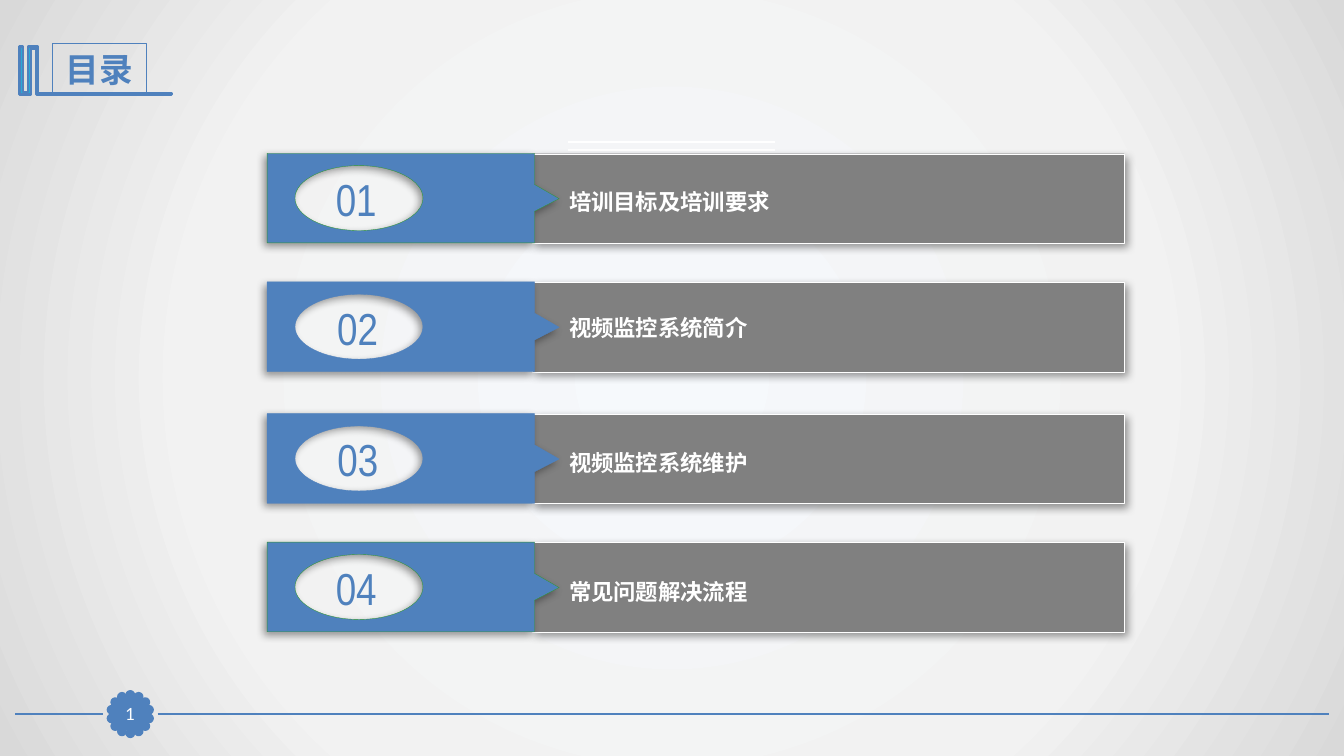
from math import cos, pi, sin

from pptx import Presentation
from pptx.dml.color import RGBColor
from pptx.enum.shapes import MSO_CONNECTOR, MSO_SHAPE
from pptx.enum.text import MSO_ANCHOR, PP_ALIGN
from pptx.oxml import parse_xml
from pptx.oxml.ns import nsdecls, qn
from pptx.util import Pt

COLORS = {
    "blue": "4F81BD",
    "green": "339933",
    "cyan": "28A9D6",
    "gray": "808080",
    "white": "FFFFFF",
    "shadow": "000000",
}
BACKDROP = ((0, "F6F9FC"), (63, "F2F2F2"), (100, "D9D9D9"))

# top, number, number centre, heading, heading offset, tab outline
AGENDA = (
    (109.5, "01", 254.5, "培训目标及培训要求", 21.5, "green"),
    (201.4, "02", 255.4, "视频监控系统简介", 19.6, "blue"),
    (295.5, "03", 255.6, "视频监控系统维护", 22, "blue"),
    (387.3, "04", 254.5, "常见问题解决流程", 22.4, "green"),
)
BAR_HEIGHT = 64
TAB_LEFT, TAB_RIGHT, TAB_TIP = 190.8, 381.8, 399.4
HOLE_X, HOLE_Y, HOLE_RX, HOLE_RY = 65.6, 32, 45.7, 23.2
ARC = 0.55
BRACKET = (
    (26.4, 33), (27.2, 33), (27.2, 66.4), (122.8, 66.4), (122.8, 67.5),
    (25.9, 67.5), (25.9, 34.4), (22.2, 34.4), (22.2, 67.5), (13.7, 67.5),
    (13.7, 33), (16.5, 33), (16.5, 65.7), (20, 65.7), (20, 33),
)
BADGE_X, BADGE_Y, BADGE_RADIUS = 93.1, 510.1, 13.7
PETALS, PETAL_SIZE = 14, 5


def rgb(name):
    return RGBColor.from_string(COLORS[name])


def paint(shape, fill, line, width):
    shape.shadow.inherit = False
    if fill:
        shape.fill.solid()
        shape.fill.fore_color.rgb = rgb(fill)
    shape.line.color.rgb = rgb(line)
    shape.line.width = Pt(width)


def cast_shadow(shape, angle):
    shape._element.spPr.find(qn("a:effectLst")).append(parse_xml(
        f'<a:outerShdw {nsdecls("a")} blurRad="{Pt(6)}" dist="{Pt(3)}" '
        f'dir="{angle * 60000}" algn="t" rotWithShape="0">'
        f'<a:srgbClr val="{COLORS["shadow"]}"><a:alpha val="40000"/></a:srgbClr>'
        '</a:outerShdw>'))


def set_background(slide):
    """Fill the slide with a gradient spreading from its centre."""
    slide.background.fill.solid()
    background = slide._element.find(".//" + qn("p:bgPr"))
    stops = "".join(
        f'<a:gs pos="{position * 1000}"><a:srgbClr val="{color}"/></a:gs>'
        for position, color in BACKDROP)
    background.replace(background[0], parse_xml(
        f'<a:gradFill {nsdecls("a")} rotWithShape="1"><a:gsLst>{stops}</a:gsLst>'
        '<a:path path="circle"><a:fillToRect l="50000" t="50000" r="50000" '
        'b="50000"/></a:path></a:gradFill>'))


def write(shape, text, color, align=PP_ALIGN.LEFT, anchor=MSO_ANCHOR.TOP, **font):
    frame = shape.text_frame
    frame.word_wrap = True
    frame.vertical_anchor = anchor
    frame.text = text
    paragraph = frame.paragraphs[0]
    paragraph.alignment = align
    run_font = paragraph.runs[0].font
    for attribute, value in font.items():
        setattr(run_font, attribute, value)
    run_font.color.rgb = rgb(color)


def add_box(shapes, kind, left, top, width, height, fill, line, weight):
    box = shapes.add_shape(kind, Pt(left), Pt(top), Pt(width), Pt(height))
    paint(box, fill, line, weight)
    return box


def add_rule(slide, start, end, y, color, weight):
    rule = slide.shapes.add_connector(
        MSO_CONNECTOR.STRAIGHT, Pt(start), Pt(y), Pt(end), Pt(y))
    rule.line.color.rgb = rgb(color)
    rule.line.width = Pt(weight)
    rule._element.spPr.append(parse_xml(f'<a:effectLst {nsdecls("a")}/>'))


def add_outline(shapes, points, fill, line, weight):
    corners = [(Pt(x), Pt(y)) for x, y in points]
    builder = shapes.build_freeform(*corners[0])
    builder.add_line_segments(corners[1:], close=True)
    outline = builder.convert_to_shape()
    paint(outline, fill, line, weight)
    return outline


def cut_hole(tab):
    """Add an elliptical opening of four curves to the tab outline."""
    def point(x, y):
        return (f'<a:pt x="{Pt(HOLE_X + x * HOLE_RX)}" '
                f'y="{Pt(HOLE_Y + y * HOLE_RY)}"/>')

    contour = f'<a:moveTo>{point(0, -1)}</a:moveTo>'
    for x, y in ((0, -1), (-1, 0), (0, 1), (1, 0)):
        end_x, end_y = y, -x
        contour += ('<a:cubicBezTo>'
                    + point(x + ARC * end_x, y + ARC * end_y)
                    + point(end_x + ARC * x, end_y + ARC * y)
                    + point(end_x, end_y) + '</a:cubicBezTo>')
    ellipse = parse_xml(f'<a:path {nsdecls("a")}>{contour}<a:close/></a:path>')
    tab._element.find(".//" + qn("a:path")).extend(list(ellipse))


def add_text(shapes, left, top, width, height, text, color, **style):
    box = shapes.add_textbox(Pt(left), Pt(top), Pt(width), Pt(height))
    write(box, text, color, **style)


def add_heading(slide, text):
    add_outline(slide.shapes, BRACKET, "cyan", "blue", 2)
    title = slide.shapes.title
    placement = {"left": 37.4, "top": 31, "width": 67, "height": 36}
    for attribute, value in placement.items():
        setattr(title, attribute, Pt(value))
    title.line.color.rgb = rgb("blue")
    title.line.width = Pt(0.75)
    write(title, text, "blue", PP_ALIGN.CENTER, MSO_ANCHOR.MIDDLE,
          name="Arial Narrow", size=Pt(24), bold=True)


def add_footer(slide, number):
    """Draw the bottom rule, broken by a scalloped page badge."""
    for start, end in ((11, 73.4), (112.6, 949)):
        add_rule(slide, start, end, 510, "blue", 1.25)
    petals = slide.shapes.add_group_shape().shapes
    for petal in range(PETALS):
        angle = 2 * pi * petal / PETALS
        add_box(petals, MSO_SHAPE.OVAL,
                BADGE_X + BADGE_RADIUS * sin(angle) - PETAL_SIZE / 2,
                BADGE_Y - BADGE_RADIUS * cos(angle) - PETAL_SIZE / 2,
                PETAL_SIZE, PETAL_SIZE, "blue", "blue", 2)
    badge = add_box(slide.shapes, MSO_SHAPE.RECTANGLE, BADGE_X - 11.5,
                    BADGE_Y - 11.2, 23, 22.4, "blue", "blue", 0.75)
    for side in ("left", "right", "top", "bottom"):
        setattr(badge.text_frame, f"margin_{side}", 0)
    write(badge, number, "white", PP_ALIGN.CENTER, MSO_ANCHOR.MIDDLE,
          name="Lato", size=Pt(12))


def add_agenda_item(slide, top, number, number_x, heading, heading_offset, outline):
    item = slide.shapes.add_group_shape().shapes
    bar = add_box(item, MSO_SHAPE.RECTANGLE, 380.2, top + 0.3, 422.8, BAR_HEIGHT,
                  "gray", "white", 0.25)
    cast_shadow(bar, 45)

    tab_edge = [(TAB_LEFT, top), (TAB_RIGHT, top), (TAB_RIGHT, top + 22.3),
                (TAB_TIP, top + 32.4), (TAB_RIGHT, top + 41.5),
                (TAB_RIGHT, top + BAR_HEIGHT), (TAB_LEFT, top + BAR_HEIGHT)]
    tab = add_outline(item, tab_edge, "blue", outline, 0.25)
    cut_hole(tab)
    cast_shadow(tab, 135)

    add_text(item, number_x - 36, top + 9.4, 72, 46, number, "blue",
             align=PP_ALIGN.CENTER, anchor=MSO_ANCHOR.MIDDLE,
             name="Arial Narrow", size=Pt(32))
    add_text(item, TAB_TIP, top + heading_offset, 404, 26.6, heading, "white",
             name="Lato", size=Pt(16), bold=True)


def main():
    deck = Presentation()
    deck.slide_width, deck.slide_height = Pt(960), Pt(540)
    slide = deck.slides.add_slide(deck.slide_layouts[5])
    set_background(slide)
    add_footer(slide, "1")
    add_heading(slide, "目录")
    for y in (101.5, 107.3):
        add_rule(slide, 406, 553.7, y, "white", 1.5)
    for item in AGENDA:
        add_agenda_item(slide, *item)
    deck.save("out.pptx")


if __name__ == "__main__":
    main()
